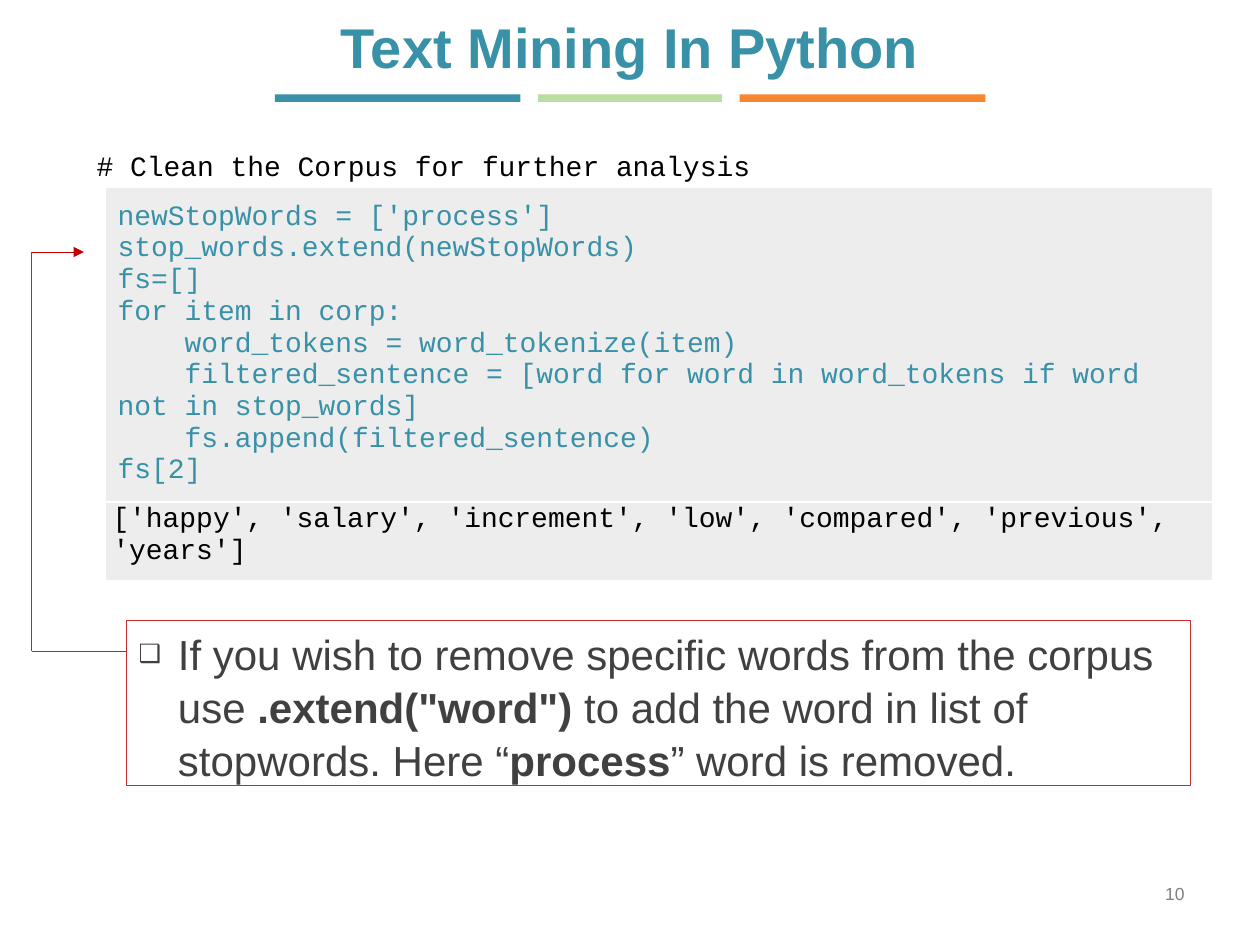
"""Build the slide on removing chosen words from a text corpus in Python."""
import pptx
import pptx.dml.color
import pptx.enum.shapes
import pptx.enum.text
import pptx.oxml
import pptx.oxml.ns
import pptx.util

Pt = pptx.util.Pt
ALIGN = pptx.enum.text.PP_ALIGN
MID = pptx.enum.text.MSO_ANCHOR.MIDDLE
TOP = pptx.enum.text.MSO_ANCHOR.TOP
RECT = pptx.enum.shapes.MSO_SHAPE.RECTANGLE
LINE = pptx.enum.shapes.MSO_CONNECTOR.STRAIGHT

THEME = {
    "teal": "3891A7", "green": "BBDDA3", "orange": "F88631", "red": "C32D2E",
    "dark": "404040", "gray": "808080", "black": "000000", "white": "FFFFFF",
    "shade": "A6A6A6", "arrow": "C00000", "brown": "964101",
    "sans": "Arial", "mono": "Courier New",
    "head": 32, "note": 24, "code": 16, "page": 10,
}

TITLE = "Text Mining In Python"
LABEL = "# Clean the Corpus for further analysis"
CODE = [
    "newStopWords = ['process']",
    "stop_words.extend(newStopWords)",
    "fs=[]",
    "for item in corp:",
    "    word_tokens = word_tokenize(item)",
    "    filtered_sentence = [word for word in word_tokens if word not in stop_words]",
    "    fs.append(filtered_sentence)",
    "fs[2]",
]
RESULT = ["['happy', 'salary', 'increment', 'low', 'compared', 'previous', 'years']"]
NOTE = [
    ("If you wish to remove specific words from the corpus use ", False),
    ('.extend("word") ', True),
    ("to add the word in list of stopwords. Here “", False),
    ("process", True),
    ("” word is removed.", False),
]
PAGE = "10"

BARS = [("teal", 140.4), ("green", 105.1), ("orange", 140.4)]
BAR_X, BAR_Y, BAR_H, BAR_GAP = 157, 54, 4.3, 10.1
ROWS = [(CODE, "teal", 179, {}),
        (RESULT, "black", 45, {"left": 4.3, "top": 0, "right": 0, "bottom": 5.8})]
NOTE_BOX = (72, 354.2, 608.4, 94.3)
WIRE_X, TIP_X, TIP_Y, NOTE_Y = 18, 48, 144, 372.2


def tint(name):
    return pptx.dml.color.RGBColor.from_string(THEME[name])


def node(tag, inner="", **attrs):
    pairs = " ".join(f'{key}="{val}"' for key, val in attrs.items())
    space = pptx.oxml.ns.nsdecls("a")
    return pptx.oxml.parse_xml(f"<a:{tag} {space} {pairs}>{inner}</a:{tag}>")


def place(shape, box):
    shape.left, shape.top, shape.width, shape.height = map(Pt, box)


def write(frame, lines, size, color, font="sans", bold=False, align=ALIGN.LEFT,
          anchor=MID, bullet=None, spacing=None):
    """Fill a frame; each line is a string or a list of (text, bold) runs."""
    frame.word_wrap = True
    if anchor is not None:
        frame.vertical_anchor = anchor
    for i, line in enumerate(lines):
        para = frame.paragraphs[0] if i == 0 else frame.add_paragraph()
        if bullet:
            props = para._p.get_or_add_pPr()
            props.set("marL", str(Pt(22.5)))
            props.set("indent", str(-Pt(22.5)))
            props.append(node("buSzPct", val=60000))
            props.append(node("buFont", typeface=THEME[font]))
            props.append(node("buChar", char=bullet))
        para.alignment = align
        para.space_before = Pt(0)
        if spacing:
            para.line_spacing = spacing
        for text, heavy in [(line, bold)] if isinstance(line, str) else line:
            run = para.add_run()
            run.text = text
            run.font.name = THEME[font]
            run.font.size = Pt(THEME[size])
            run.font.bold = heavy
            run.font.color.rgb = tint(color)


def label(slide, box, text, **style):
    shape = slide.shapes.add_textbox(*map(Pt, box))
    write(shape.text_frame, [text], **style)


def add_bars(slide):
    left = BAR_X
    for color, width in BARS:
        bar = slide.shapes.add_shape(RECT, Pt(left), Pt(BAR_Y), Pt(width), Pt(BAR_H))
        bar.shadow.inherit = False
        bar.fill.solid()
        bar.fill.fore_color.rgb = tint(color)
        bar.line.fill.background()
        left += width + BAR_GAP


def add_code(slide):
    total = sum(row[2] for row in ROWS)
    frame = slide.shapes.add_table(len(ROWS), 1, Pt(60), Pt(106.9), Pt(632.9), Pt(total))
    table = frame.table
    table.first_row = table.horz_banding = False
    edge = f'<a:solidFill><a:srgbClr val="{THEME["white"]}"/></a:solidFill>'
    for i, (lines, color, height, pads) in enumerate(ROWS):
        table.rows[i].height = Pt(height)
        cell = table.cell(i, 0)
        for side, pad in pads.items():
            setattr(cell, f"margin_{side}", Pt(pad))
        write(cell.text_frame, lines, "code", color, font="mono", anchor=None)
        cell.vertical_anchor = MID
        cell.fill.solid()
        cell.fill.fore_color.rgb = tint("shade")
        props = cell._tc.get_or_add_tcPr()
        props.find(".//" + pptx.oxml.ns.qn("a:srgbClr")).append(node("alpha", val=20000))
        for k, side in enumerate("LRTB"):
            props.insert(k, node("ln" + side, edge, w=Pt(1)))


def add_note(shape):
    place(shape, NOTE_BOX)
    shape.fill.solid()
    shape.fill.fore_color.rgb = tint("white")
    shape.line.color.rgb = tint("red")
    shape.line.width = Pt(0.25)
    write(shape.text_frame, [NOTE], "note", "dark", anchor=TOP, bullet="❑", spacing=1.05)
    shape.text_frame.auto_size = pptx.enum.text.MSO_AUTO_SIZE.NONE


def wire(slide, start, end, color, width, arrow=False):
    line = slide.shapes.add_connector(LINE, *map(Pt, start + end))
    line.line.color.rgb = tint(color)
    line.line.width = Pt(width)
    if arrow:
        line.line._get_or_add_ln().append(node("tailEnd", type="triangle"))
    line._element.spPr.append(node("effectLst"))


def main():
    deck = pptx.Presentation()
    deck.slide_width, deck.slide_height = Pt(720), Pt(540)
    slide = deck.slides.add_slide(deck.slide_layouts[1])
    title, body = slide.placeholders

    place(title, (36, -5.8, 648, 64.1))
    write(title.text_frame, [TITLE], "head", "teal", bold=True, align=ALIGN.CENTER)
    title.text_frame.auto_size = pptx.enum.text.MSO_AUTO_SIZE.NONE
    add_bars(slide)
    label(slide, (516.2, 491.8, 167.8, 37.4), PAGE, size="page", color="gray",
          align=ALIGN.RIGHT)
    label(slide, (48.2, 81.4, 617.8, 26.6), LABEL, size="code", color="black",
          font="mono", anchor=TOP)
    add_note(body)
    add_code(slide)

    bend, foot = (WIRE_X, TIP_Y), (WIRE_X, NOTE_Y)
    wire(slide, bend, (TIP_X, TIP_Y), "arrow", 0.25, arrow=True)
    wire(slide, bend, foot, "brown", 0.75)
    wire(slide, foot, (NOTE_BOX[0], NOTE_Y), "brown", 0.75)
    deck.save("out.pptx")


if __name__ == "__main__":
    main()
